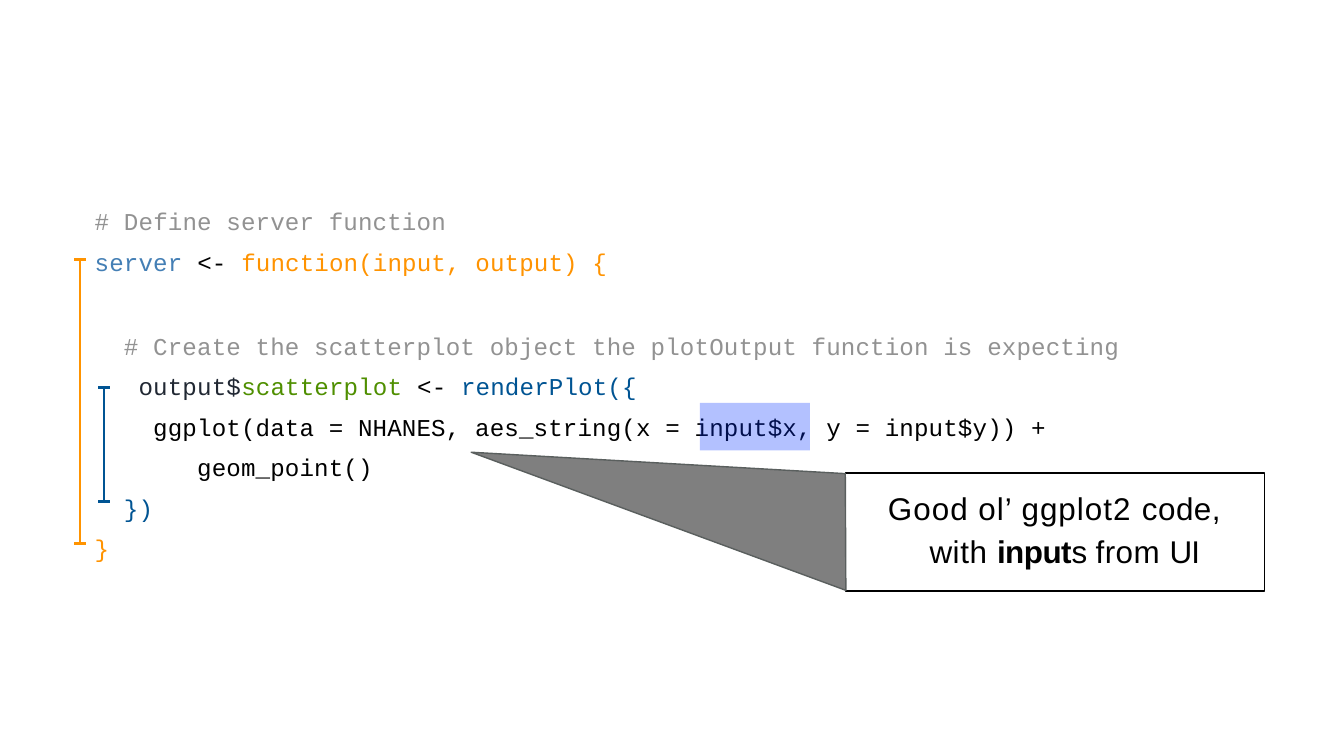
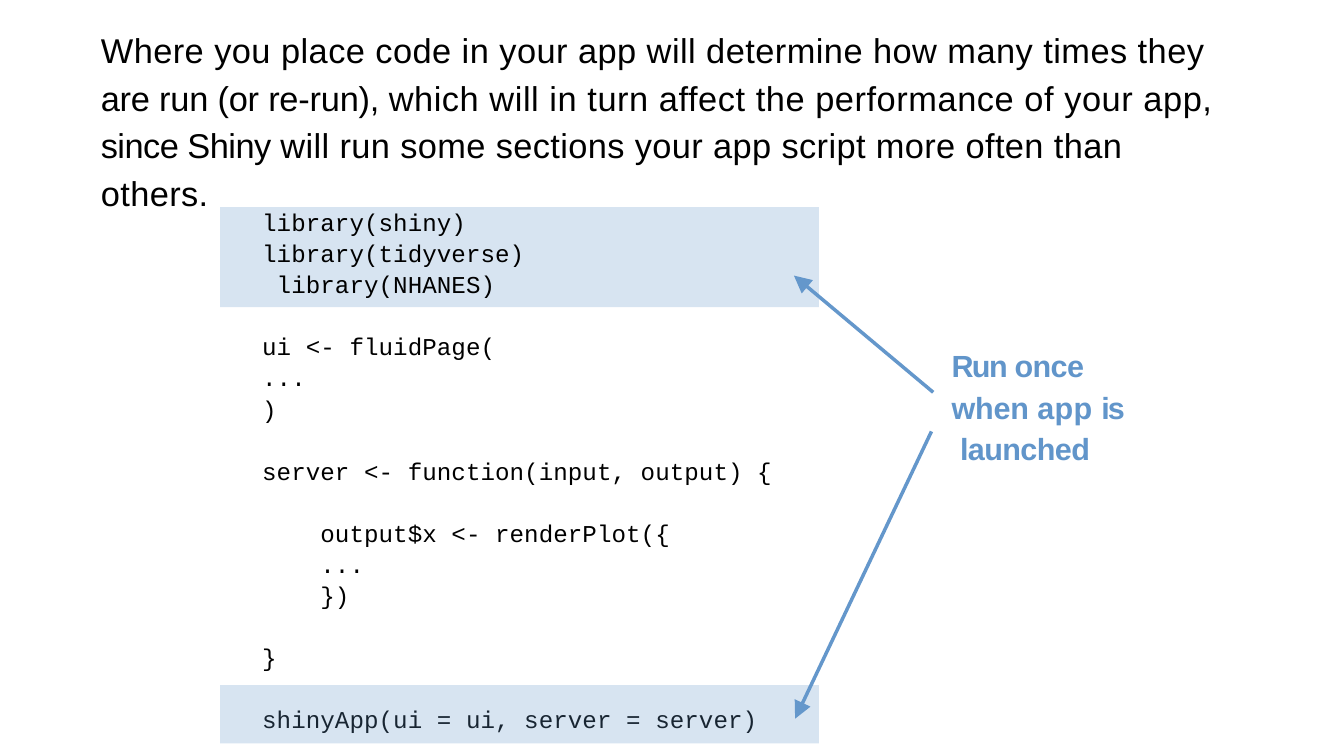
from dataclasses import dataclass

from lxml import etree
from pptx import Presentation
from pptx.dml.color import RGBColor
from pptx.enum.shapes import MSO_CONNECTOR, MSO_SHAPE
from pptx.enum.text import MSO_ANCHOR, MSO_AUTO_SIZE, PP_ALIGN
from pptx.oxml.ns import qn
from pptx.util import Pt

STRAIGHT = MSO_CONNECTOR.STRAIGHT
RECTANGLE = MSO_SHAPE.RECTANGLE
TOP = MSO_ANCHOR.TOP
NO_AUTOFIT = MSO_AUTO_SIZE.NONE
LEFT = PP_ALIGN.LEFT
TITLE_ONLY = 5


@dataclass(frozen=True)
class Theme:
    black: str = "000000"
    grey: str = "929292"
    ink: str = "212833"
    steel: str = "447FB5"
    orange: str = "FF9300"
    green: str = "4F8F00"
    navy: str = "005493"
    marker: str = "0433FF"
    wedge_edge: str = "5A5F5E"
    band: str = "6296CA"
    note: str = "6195CA"
    arrow: str = "6497CB"
    code_font: str = "Courier New"
    text_font: str = "Arial"
    code_size: float = 28.5
    callout_size: float = 37
    title_size: float = 40.5
    note_size: float = 36


@dataclass(frozen=True)
class Style:
    """Type of a block; pitch is the line height, gap the height of an empty row."""
    font: str
    size: float
    pitch: float
    gap: float = 0
    spacing: float = 0
    color: str = "000000"
    bold: bool = False


THEME = Theme()
SERVER_CODE = Style(THEME.code_font, THEME.code_size, 47.7, gap=51.3, spacing=0.2)
APP_CODE = Style(THEME.code_font, THEME.code_size, 36.6, gap=36.6, spacing=0.1)
CALLOUT = Style(THEME.text_font, THEME.callout_size, 50.5)
HEADLINE = Style(THEME.text_font, THEME.title_size, 56)
NOTE = Style(THEME.text_font, THEME.note_size, 48.5, color=THEME.note, bold=True)

SLIDE_SIZE = (1583.28, 890.64)

# A line is a list of spans (text, changes to the style); None is an empty row.
SERVER_TITLE = [[("# Define server function", {"color": THEME.grey})]]
SERVER_LINES = [
    [("server ", {"color": THEME.steel}), ("<- ", {}),
     ("function(input, output) {", {"color": THEME.orange})],
    None,
    [("  # Create the scatterplot object the plotOutput function is expecting",
      {"color": THEME.grey})],
    [("   output$", {"color": THEME.ink}), ("scatterplot ", {"color": THEME.green}),
     ("<- ", {}), ("renderPlot({", {"color": THEME.navy})],
    [("    ggplot(data = NHANES, aes_string(x = input$x, y = input$y)) +", {})],
    [("       geom_point()", {})],
    [("  })", {"color": THEME.navy})],
    [("}", {"color": THEME.orange})],
]
CALLOUT_LINES = [
    [("Good ol’ ggplot2 ", {"spacing": 1.25}), ("code,", {"spacing": 0.6})],
    [("with ", {"spacing": 0.7}), ("input", {"spacing": -0.6, "bold": True}),
     ("s ", {"spacing": -0.6}), ("from ", {"spacing": 0.6}), ("UI", {"spacing": -0.9})],
]
# Left, top, bottom, colour
BRACKETS = [
    (94.3, 305.6, 640.1, THEME.orange),
    (122.4, 456.8, 590.4, THEME.navy),
]
BRACKET_CAP = 13.6
WEDGE = [(555.1, 532.8), (995.8, 558), (996.5, 695.5)]

APP_TITLE = [[
    ("Where you place code in your app will determine how many times they ",
     {"spacing": 0.53}),
    ("are run (or re-run), ", {"spacing": -0.28}),
    ("which will in turn affect the performance of your app, ", {"spacing": 0.65}),
    ("since Shiny ", {"spacing": -0.65}),
    ("will run some sections your app script more often than others.",
     {"spacing": 0.45}),
]]
APP_ROWS = [
    "library(shiny)",
    "library(tidyverse)",
    " library(NHANES)",
    None,
    "ui <- fluidPage(",
    "...",
    ")",
    None,
    "server <- function(input, output) {",
    None,
    "    output$x <- renderPlot({",
    "    ...",
    "    })",
    None,
    "}",
    None,
    "shinyApp(ui = ui, server = server)",
]
NOTE_LINES = [
    [("Run ", {"spacing": -1.9}), ("once", {"spacing": -0.7})],
    [("when ", {"spacing": -0.2}), ("app ", {"spacing": 0.3}), ("is", {"spacing": -2.2})],
    [("launched", {"spacing": -0.7})],
]
BAND_LEFT, BAND_WIDTH = 259.2, 705.6
LIBRARY_BAND = (BAND_LEFT, 244.1, BAND_WIDTH, 117.7)
LAUNCH_BAND = (BAND_LEFT, 807.1, BAND_WIDTH, 68.8)
ARROWS = [
    ((1099.4, 462.2), (935.3, 324.7)),
    ((1097.3, 508.3), (936.7, 846.7)),
]


def rgb(color):
    return RGBColor.from_string(color)


def points(values):
    return [Pt(value) for value in values]


def write(frame, lines, style, indents=()):
    """Fill a frame, one paragraph a line; indents gives left margins by line."""
    frame.word_wrap = True
    frame.auto_size = NO_AUTOFIT
    frame.vertical_anchor = TOP
    frame.margin_left = frame.margin_top = frame.margin_right = frame.margin_bottom = 0
    para, space = None, 0
    for line in lines:
        if line is None:
            space = style.gap
            continue
        para = frame.add_paragraph() if para else frame.paragraphs[0]
        para.alignment = LEFT
        para.line_spacing = Pt(style.pitch)
        if space:
            para.space_before = Pt(space)
        space = 0
        for text, changes in line:
            span = para.add_run()
            span.text = text
            span.font.name = style.font
            span.font.size = Pt(style.size)
            span.font.bold = changes.get("bold", style.bold)
            span.font.color.rgb = rgb(changes.get("color", style.color))
            spacing = changes.get("spacing", style.spacing)
            span._r.get_or_add_rPr().set("spc", str(round(spacing * 100)))
    for para, indent in zip(frame.paragraphs, indents):
        if indent:
            para._p.get_or_add_pPr().set("marL", str(Pt(indent)))


def add_text(page, place, lines, style, indents=()):
    write(page.shapes.add_textbox(*points(place)).text_frame, lines, style, indents)


def add_page(deck, place, lines, style):
    """Add a slide whose title placeholder is moved and filled."""
    page = deck.slides.add_slide(deck.slide_layouts[TITLE_ONLY])
    title = page.shapes.title
    title.left, title.top, title.width, title.height = points(place)
    write(title.text_frame, lines, style)
    return page


def fill(shape, color, opacity):
    shape.shadow.inherit = False
    shape.fill.solid()
    shape.fill.fore_color.rgb = rgb(color)
    tint = shape._element.spPr.find(qn("a:solidFill")).find(qn("a:srgbClr"))
    etree.SubElement(tint, qn("a:alpha")).set("val", str(opacity * 1000))


def add_tint(page, place, color, opacity):
    tint = page.shapes.add_shape(RECTANGLE, *points(place))
    fill(tint, color, opacity)
    tint.line.fill.background()


def add_line(page, start, end, color, width, arrow=False):
    line = page.shapes.add_connector(STRAIGHT, *points(start + end))
    line.line.color.rgb = rgb(color)
    line.line.width = Pt(width)
    if arrow:
        head = etree.SubElement(line.line._get_or_add_ln(), qn("a:tailEnd"))
        for name, value in (("type", "triangle"), ("w", "lg"), ("len", "lg")):
            head.set(name, value)
    etree.SubElement(line._element.spPr, qn("a:effectLst"))


def add_bracket(page, left, top, bottom, color):
    half = BRACKET_CAP / 2
    add_line(page, (left, top), (left, bottom), color, 3.3)
    for y in (top, bottom):
        add_line(page, (left - half, y), (left + half, y), color, 3.3)


def add_wedge(page):
    start, *rest = [points(corner) for corner in WEDGE]
    builder = page.shapes.build_freeform(*start)
    builder.add_line_segments(rest, close=True)
    wedge = builder.convert_to_shape()
    fill(wedge, THEME.black, 50)
    wedge.line.color.rgb = rgb(THEME.wedge_edge)
    wedge.line.width = Pt(1.65)


def build_server_page(deck):
    page = add_page(deck, (111.6, 229.3, 1214, 48), SERVER_TITLE, SERVER_CODE)
    add_text(page, (111.6, 277.5, 1240, 386), SERVER_LINES, SERVER_CODE)
    for bracket in BRACKETS:
        add_bracket(page, *bracket)
    frame = page.shapes.add_shape(RECTANGLE, *points((995.8, 557.3, 493.9, 139)))
    frame.shadow.inherit = False
    frame.fill.background()
    frame.line.color.rgb = rgb(THEME.black)
    frame.line.width = Pt(1.65)
    add_text(page, (1046, 570, 420, 103), CALLOUT_LINES, CALLOUT, indents=(0, 49))
    add_wedge(page)
    add_tint(page, (824.4, 474.5, 129.6, 56.2), THEME.marker, 30)


def build_app_page(deck):
    page = add_page(deck, (118.8, 27, 1325, 224), APP_TITLE, HEADLINE)
    add_tint(page, LIBRARY_BAND, THEME.band, 25)
    lines = [row and [(row, {})] for row in APP_ROWS]
    add_text(page, (308.9, 242, 640, 625), lines, APP_CODE)
    add_tint(page, LAUNCH_BAND, THEME.band, 25)
    for start, end in ARROWS:
        add_line(page, start, end, THEME.arrow, 4.12, arrow=True)
    add_text(page, (1121, 404, 230, 150), NOTE_LINES, NOTE, indents=(0, 0, 10))


def main():
    deck = Presentation()
    deck.slide_width, deck.slide_height = points(SLIDE_SIZE)
    build_server_page(deck)
    build_app_page(deck)
    deck.save("out.pptx")


if __name__ == "__main__":
    main()
